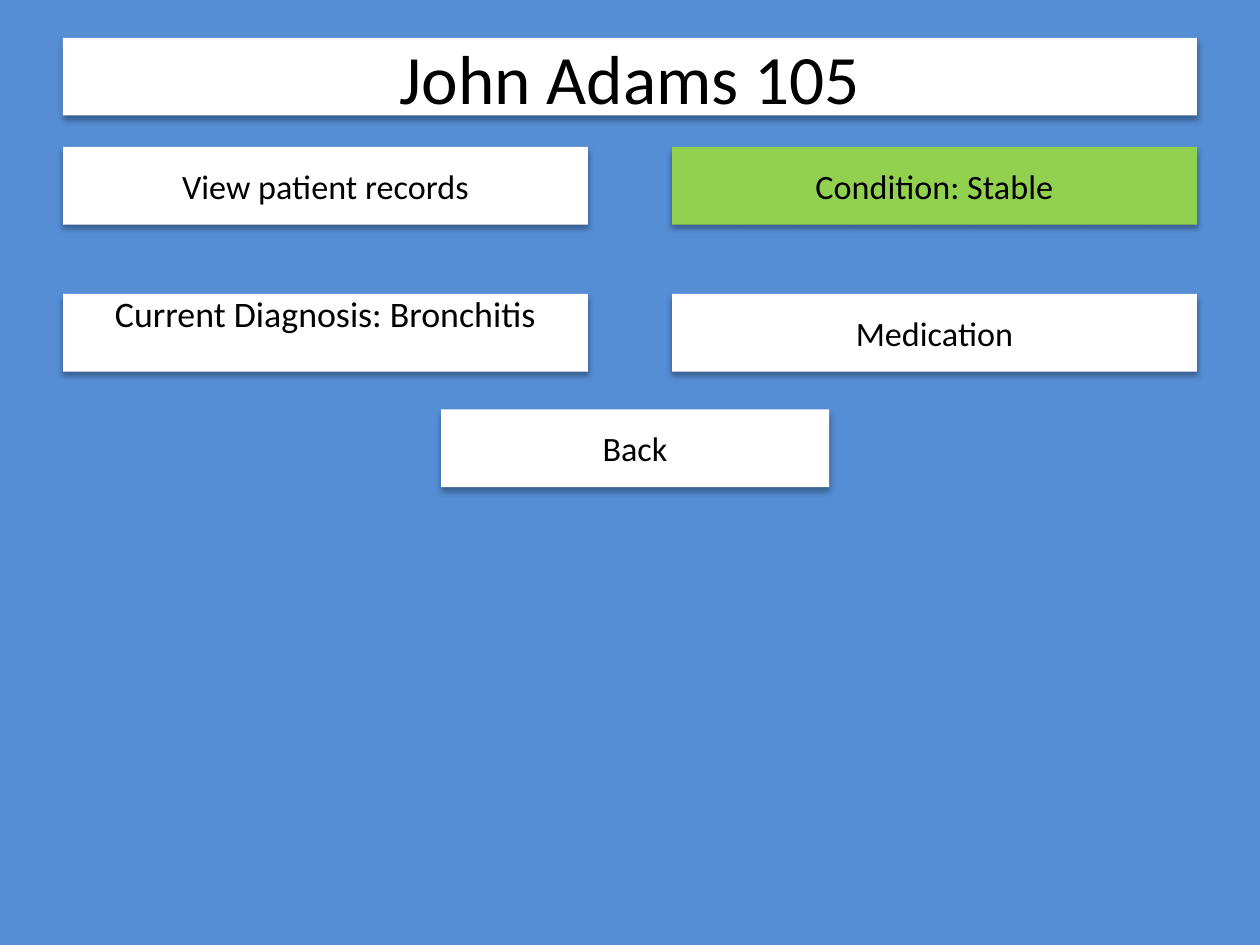
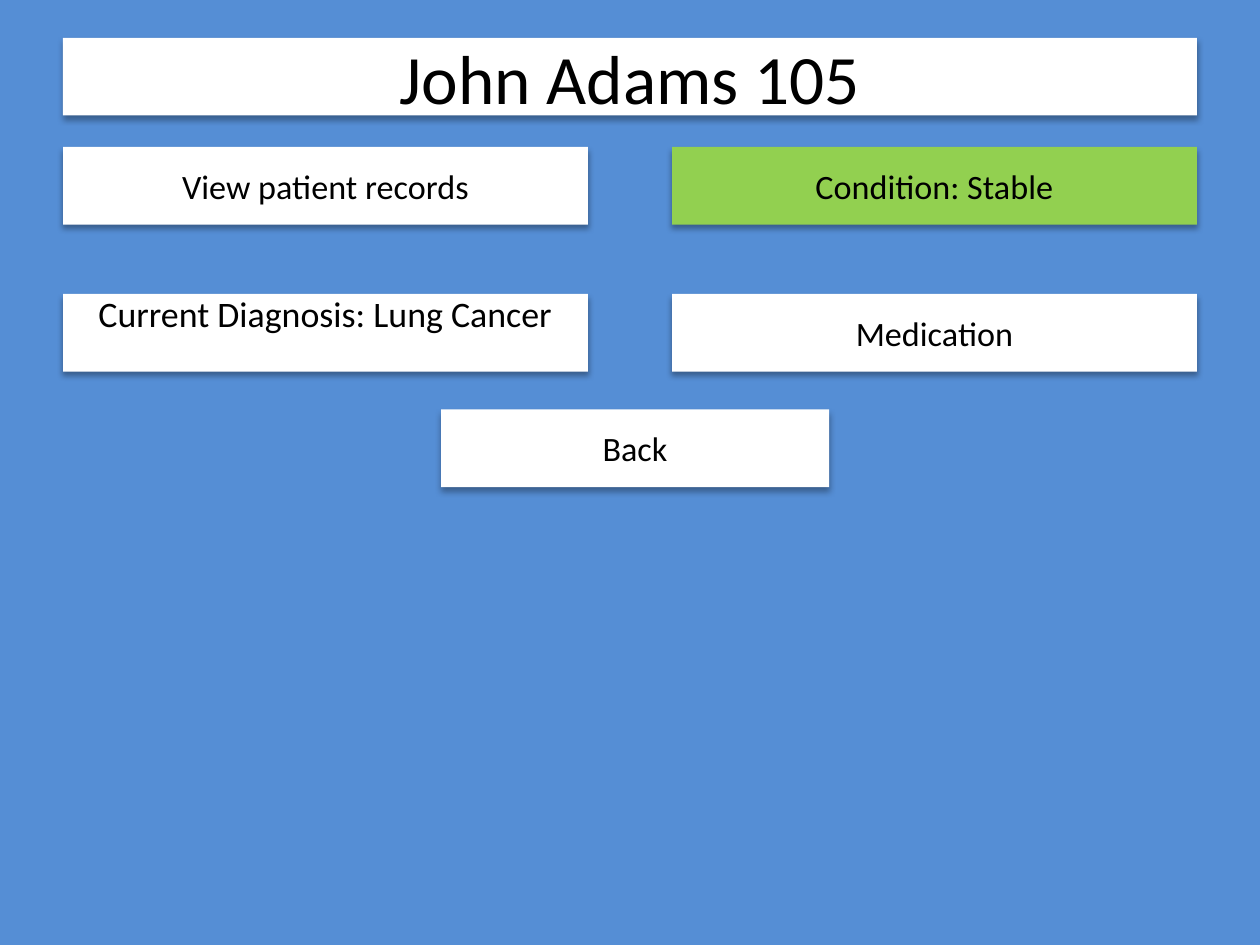
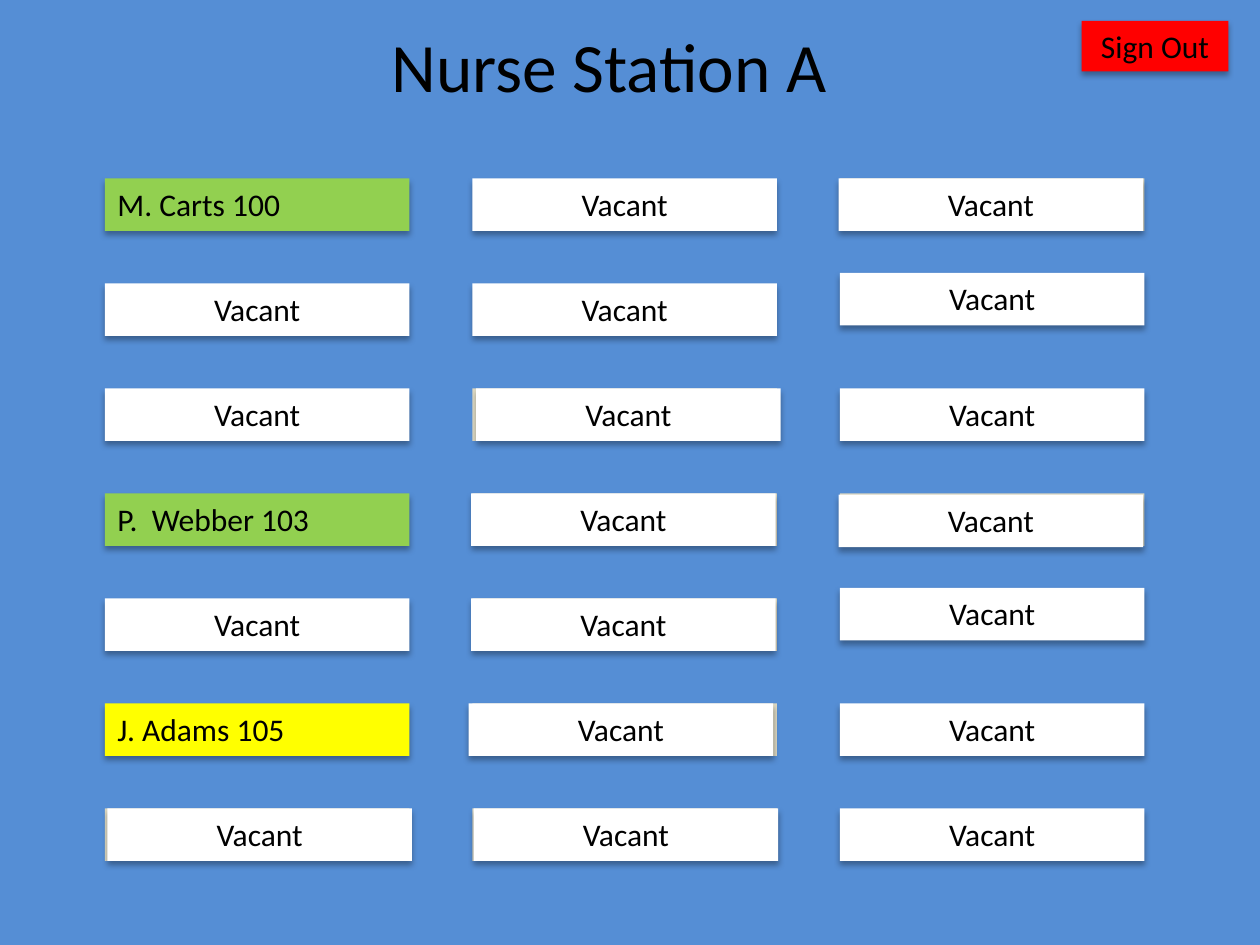
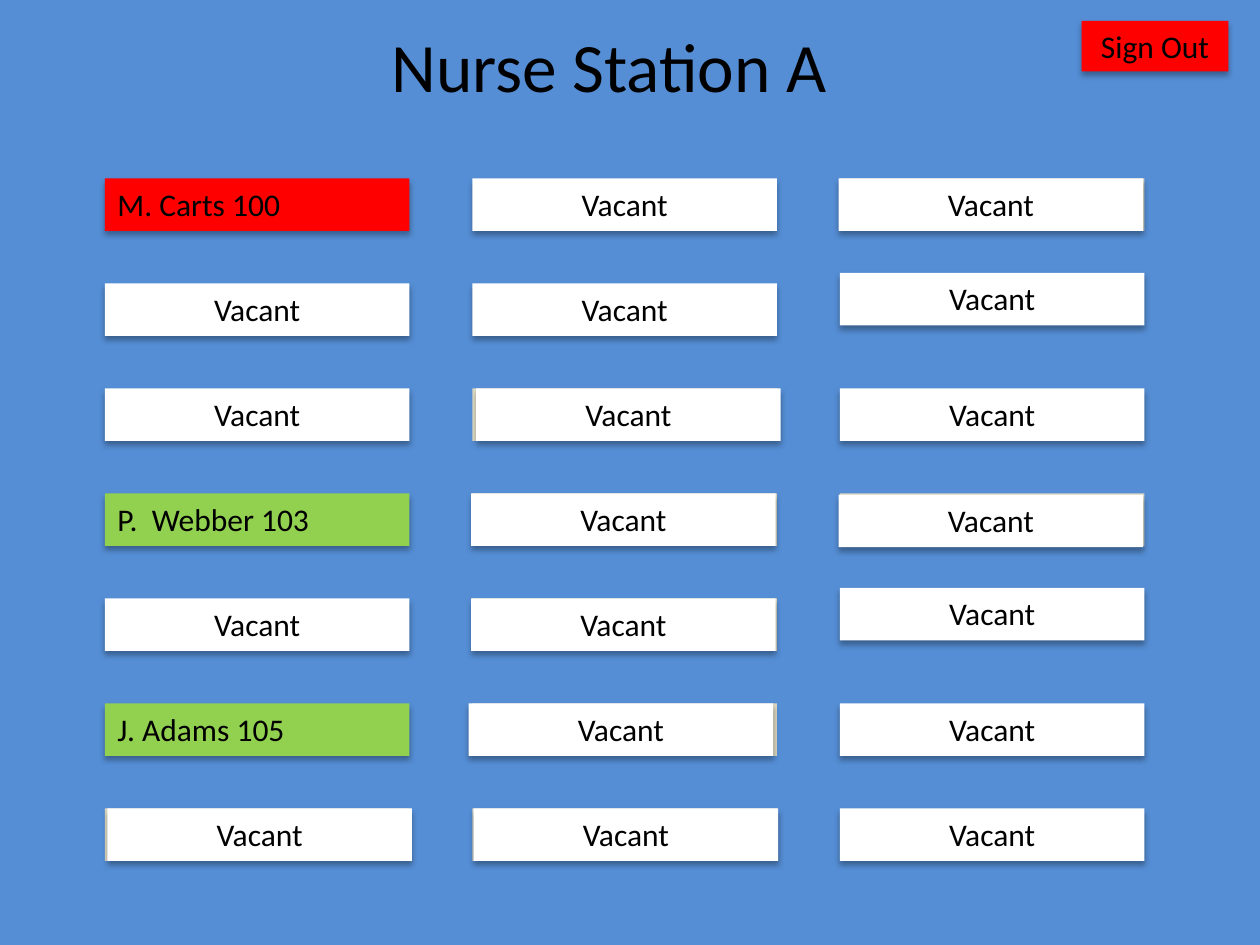
from pptx import Presentation
from pptx.dml.color import RGBColor as RGB
from pptx.enum.shapes import MSO_SHAPE as Shape
from pptx.enum.text import MSO_ANCHOR as Anchor, MSO_AUTO_SIZE as Fit, PP_ALIGN as Align
from pptx.oxml import parse_xml
from pptx.oxml.ns import nsdecls
from pptx.util import Inches, Pt

BLUE = RGB(0x55, 0x8E, 0xD5)
WHITE = RGB(0xFF, 0xFF, 0xFF)
BLACK = RGB(0, 0, 0)
GREEN = RGB(0x92, 0xD0, 0x50)
YELLOW = RGB(0xFF, 0xFF, 0)
RED = RGB(0xFF, 0, 0)
BEIGE = RGB(0xDD, 0xD9, 0xC3)
FONT = "Calibri"
HEAD = 39.6

SHADOW = (
    f'<a:effectLst {nsdecls("a")}>'
    '<a:outerShdw blurRad="44450" dist="27940" dir="5400000" algn="ctr" rotWithShape="0">'
    '<a:srgbClr val="000000"><a:alpha val="32000"/></a:srgbClr>'
    '</a:outerShdw></a:effectLst>'
)


def write(shape, text, size, align=Align.CENTER, anchor=Anchor.MIDDLE):
    """Put one styled run of text in a shape."""
    frame = shape.text_frame
    frame.word_wrap = True
    frame.vertical_anchor = anchor
    para = frame.paragraphs[0]
    para.alignment = align
    run = para.add_run()
    run.text = text
    run.font.name = FONT
    run.font.size = Pt(size)
    run.font.color.rgb = BLACK
    return frame


def panel(slide, left, top, width, height, fill, shadow=True):
    """Add a borderless rectangle, with the soft shadow unless told not to."""
    shape = slide.shapes.add_shape(
        Shape.RECTANGLE, Inches(left), Inches(top), Inches(width), Inches(height))
    shape.fill.solid()
    shape.fill.fore_color.rgb = fill
    shape.line.fill.background()
    if shadow:
        shape._element.spPr.append(parse_xml(SHADOW))
    else:
        shape.shadow.inherit = False
    return shape


deck = Presentation()
deck.slide_width = Inches(10)
deck.slide_height = Inches(7.5)
blank = deck.slide_layouts[6]

# Every slide has the same blue background
slides = []
for _ in range(4):
    slide = deck.slides.add_slide(blank)
    slide.background.fill.solid()
    slide.background.fill.fore_color.rgb = BLUE
    slides.append(slide)

# Patient slides: two columns, two rows
TALL = 37 / 60
HALF = 25 / 6
LEFT, RIGHT = 0.5, 16 / 3
UPPER, LOWER = 7 / 6, 7 / 3
for slide, illness in zip(slides[:2], ("Bronchitis", "Lung Cancer")):
    write(panel(slide, LEFT, 0.3, 9, TALL, WHITE), "John Adams 105", HEAD)
    write(panel(slide, LEFT, UPPER, HALF, TALL, WHITE), "View patient records", 19.5)
    box = panel(slide, LEFT, LOWER, HALF, TALL, WHITE)
    frame = write(box, f"Current Diagnosis: {illness}", 20.5, anchor=Anchor.TOP)
    frame.margin_top = Inches(-0.02)
    for left, top, width, fill, text in (
        (RIGHT, UPPER, HALF, GREEN, "Condition: Stable"),
        (RIGHT, LOWER, HALF, WHITE, "Medication"),
        (3.5, 3.25, 3.08, WHITE, "Back"),
    ):
        write(panel(slide, left, top, width, TALL, fill), text, 19.5)

# Nurse station slides: a grid of rooms, keyed by column and row
COLS, ROWS = 3, 7
WIDE, HIGH = 29 / 12, 5 / 12
RAISED = {(2, 1), (2, 4)}
# Rooms set off from their beige backing, which shows at the edge
NUDGE = {
    (0, 6): (0.02, 0), (1, 2): (0.03, 0), (1, 3): (-0.01, 0), (1, 4): (-0.01, 0),
    (1, 5): (-0.03, 0), (1, 6): (0.01, 0), (2, 0): (-0.01, 0), (2, 3): (-0.01, 0.01),
}
NAMES = {(0, 0): "M. Carts 100", (0, 3): "P.  Webber 103", (0, 5): "J. Adams 105"}

for slide, states in zip(slides[2:], ((GREEN, GREEN, YELLOW), (RED, GREEN, GREEN))):
    title = slide.shapes.add_textbox(Inches(0.5), Inches(0.25), Inches(8.67), Inches(0.53))
    write(title, "Nurse Station A", HEAD)
    fills = dict(zip(NAMES, states))

    for col in range(COLS):
        for row in range(ROWS):
            room = col, row
            left = 5 / 6 + 35 / 12 * col
            top = 17 / 12 + 5 / 6 * row - (1 / 12 if room in RAISED else 0)
            if room in NUDGE:
                panel(slide, left, top, WIDE, HIGH, BEIGE, shadow=False)
            right, down = NUDGE.get(room, (0, 0))
            box = panel(slide, left + right, top + down, WIDE, HIGH, fills.get(room, WHITE))
            align = Align.LEFT if room in NAMES else Align.CENTER
            frame = write(box, NAMES.get(room, "Vacant"), 18, align, Anchor.TOP)
            frame.auto_size = Fit.SHAPE_TO_FIT_TEXT

    exit_box = panel(slide, 103 / 12, 1 / 6, 7 / 6, 0.4, RED)
    write(exit_box, "Sign Out", 18, anchor=Anchor.TOP).auto_size = Fit.SHAPE_TO_FIT_TEXT

deck.save("out.pptx")
